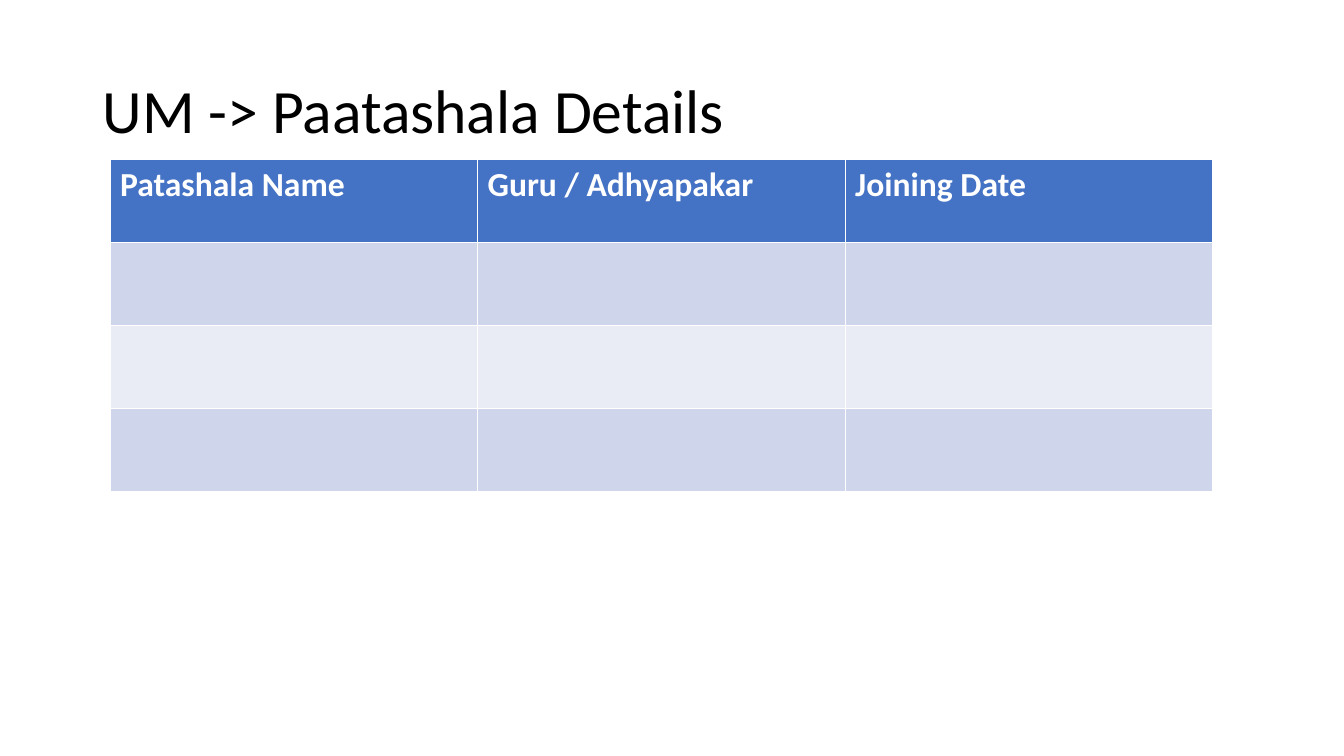
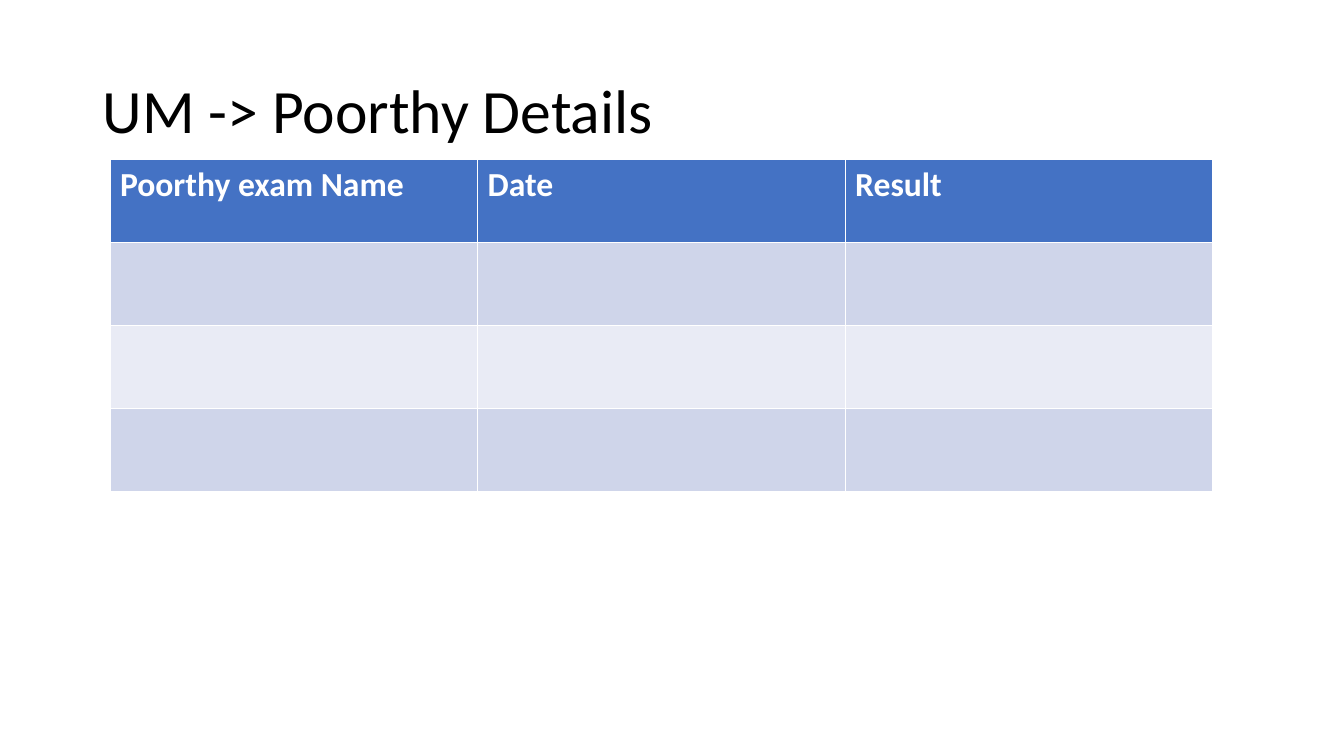
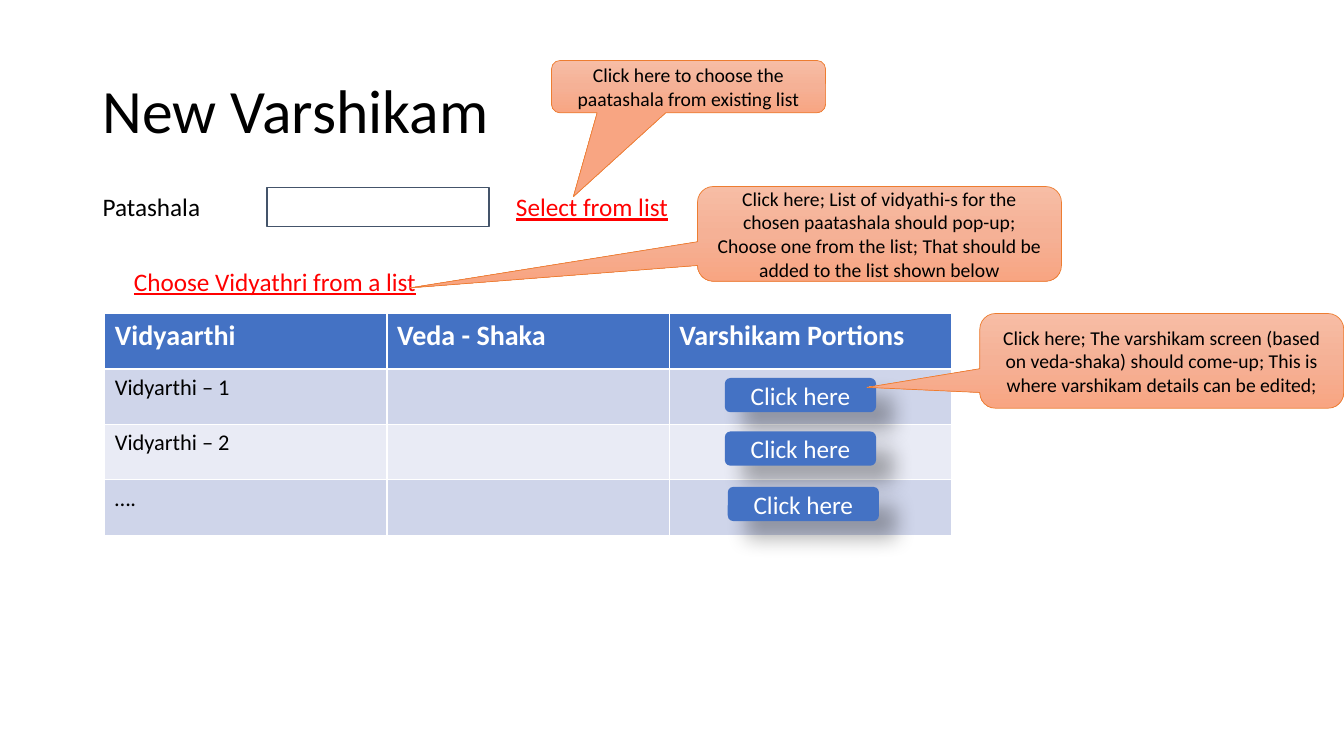
import copy
import lxml.etree
import pptx
import pptx.dml.color
import pptx.enum.shapes
import pptx.enum.text
import pptx.oxml
import pptx.oxml.ns
import pptx.util

BLUE, BAND, PALE = "4472C4", "CFD5EA", "E9EBF5"
WHITE, BLACK, RED, SLATE, ORANGE = "FFFFFF", "000000", "FF0000", "44546A", "ED7D31"
PEACH = [(0, "F7BDA5"), (0.5, "F5B196"), (1, "F8A582")]

rgb = pptx.dml.color.RGBColor.from_string
qn = pptx.oxml.ns.qn
shape_type = pptx.enum.shapes.MSO_SHAPE
middle = pptx.enum.text.MSO_ANCHOR.MIDDLE
center = pptx.enum.text.PP_ALIGN.CENTER

prs = pptx.Presentation()
prs.slide_width = pptx.util.Inches(13.33)
prs.slide_height = pptx.util.Inches(7.5)


def area(x, y, w, h):
    col, row = prs.slide_width / 100, prs.slide_height / 100
    return [round(n) for n in (x * col, y * row, w * col, h * row)]


def write(tf, text, size, color, bold=False, underline=False):
    p = tf.paragraphs[0]
    p.text = text
    p.font.name = "Calibri"
    p.font.size = pptx.util.Pt(size)
    p.font.color.rgb = rgb(color)
    p.font.bold = bold
    p.font.underline = underline
    return p


wide = (8.18, 21.07, 82.05, 44)
narrow = (7.8, 41.47, 63, 29.33)
pages = [
    ("UM -> Paatashala Details", wide, 24,
     ["Patashala Name", "Guru / Adhyapakar", "Joining Date"], ["", "", ""]),
    ("UM -> Poorthy Details", wide, 24,
     ["Poorthy exam Name", "Date", "Result"], ["", "", ""]),
    ("New Varshikam", narrow, 20,
     ["Vidyaarthi", "Veda - Shaka", "Varshikam Portions"],
     ["Vidyarthi – 1", "Vidyarthi – 2", "…."]),
]

for title, place, size, heads, names in pages:
    s = prs.slides.add_slide(prs.slide_layouts[6])
    tf = s.shapes.add_textbox(*area(6.9, 5.33, 86.25, 19.33)).text_frame
    tf.word_wrap = True
    tf.vertical_anchor = middle
    write(tf, title, 44, BLACK).line_spacing = 0.9

    table = s.shapes.add_table(len(names) + 1, len(heads), *area(*place)).table
    for c, head in enumerate(heads):
        write(table.cell(0, c).text_frame, head, size, WHITE, bold=True)
    for r, name in enumerate(names, 1):
        if name:
            write(table.cell(r, 0).text_frame, name, 16, BLACK)
    for r, color in enumerate([BLUE, BAND, PALE, BAND]):
        for cell in table.rows[r].cells:
            cell.fill.solid()
            cell.fill.fore_color.rgb = rgb(color)

labels = [
    ("Patashala", (6.9, 24.67, 8.85, 5.33), BLACK, False),
    ("Select from list", (37.65, 24.67, 12.98, 5.33), RED, True),
    ("Choose Vidyathri from a list", (9.23, 34.53, 22.73, 5.33), RED, True),
]
for text, place, color, underline in labels:
    tf = s.shapes.add_textbox(*area(*place)).text_frame
    tf.word_wrap = False
    write(tf, text, 18, color, underline=underline)

field = s.shapes.add_shape(shape_type.RECTANGLE, *area(19.88, 24.8, 16.5, 5.2))
field.shadow.inherit = False
field.fill.solid()
field.fill.fore_color.rgb = rgb(WHITE)
field.line.color.rgb = rgb(SLATE)
field.line.width = pptx.util.Pt(1)

for x, y in [(53.93, 50), (53.93, 57.07), (54.15, 64.4)]:
    button = s.shapes.add_shape(shape_type.ROUNDED_RECTANGLE, *area(x, y, 11.25, 4.53))
    button.fill.solid()
    button.fill.fore_color.rgb = rgb(BLUE)
    button.line.fill.background()
    button.shadow.inherit = False
    effects = button._element.spPr.find(qn("a:effectLst"))
    shadow = lxml.etree.SubElement(
        effects, qn("a:outerShdw"), blurRad=str(pptx.util.Pt(15)),
        dist=str(pptx.util.Pt(18)), dir=str(45 * 60000), algn="tl", rotWithShape="0")
    tint = lxml.etree.SubElement(shadow, qn("a:srgbClr"), val=BLACK)
    lxml.etree.SubElement(tint, qn("a:alpha"), val="30000")
    button.text_frame.vertical_anchor = middle
    write(button.text_frame, "Click here", 18, WHITE).alignment = center

callouts = [
    ("Click here to choose the paatashala from existing list",
     (41.03, 8, 20.4, 6.93), (-0.42, 2.1)),
    ("Click here; List of vidyathi-s for the chosen paatashala should pop-up; "
     "Choose one from the list; That should be added to the list shown below",
     (51.9, 24.67, 27.08, 12.53), (-1.29, 0.57)),
    ("Click here; The varshikam screen (based on veda-shaka) should come-up; "
     "This is where varshikam details can be edited;",
     (72.9, 41.47, 27.08, 12.53), (-0.81, 0.28)),
]
for text, place, tip in callouts:
    callout = s.shapes.add_shape(shape_type.ROUNDED_RECTANGULAR_CALLOUT, *area(*place))
    callout.adjustments[0], callout.adjustments[1] = tip
    callout.shadow.inherit = False
    callout.fill.gradient()
    callout.fill.gradient_angle = 270
    stops = callout._element.spPr.find(".//" + qn("a:gsLst"))
    stops.insert(1, copy.deepcopy(stops[0]))
    for stop, (position, color) in zip(callout.fill.gradient_stops, PEACH):
        stop.position = position
        stop.color.rgb = rgb(color)
    callout.line.color.rgb = rgb(ORANGE)
    callout.line.width = pptx.util.Pt(0.5)
    callout.text_frame.vertical_anchor = middle
    callout.text_frame.word_wrap = True
    write(callout.text_frame, text, 14, BLACK).alignment = center

prs.save("out.pptx")
